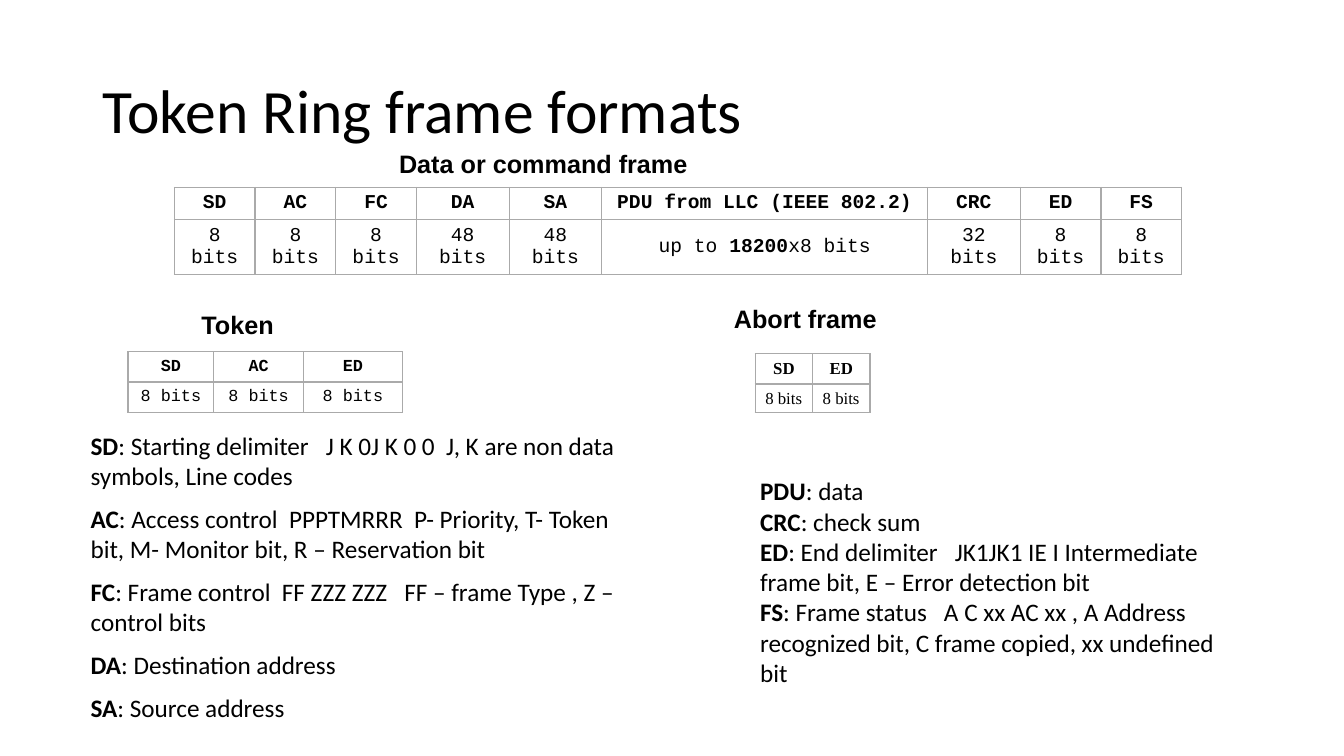
from dataclasses import dataclass

import lxml.etree
import pptx
import pptx.dml.color
import pptx.enum.text
import pptx.oxml.ns
import pptx.util

Inches = pptx.util.Inches
Pt = pptx.util.Pt
Align = pptx.enum.text.PP_ALIGN
Anchor = pptx.enum.text.MSO_ANCHOR
AutoSize = pptx.enum.text.MSO_AUTO_SIZE


@dataclass(frozen=True)
class Theme:
    """Colours, fonts and type sizes of the slide."""
    ink: str = "000000"
    paper: str = "FFFFFF"
    border: str = "AAAAAA"
    body_font: str = "Calibri"
    caption_font: str = "Arial"
    code_font: str = "Courier New"
    serif_font: str = "Times New Roman"
    title_size: int = 44
    body_size: int = 18
    wide_table_size: int = 14
    small_table_size: int = 12


THEME = Theme()

FIELD_NOTES = [
    "**SD**: Starting delimiter   J K 0J K 0 0  J, K are non data symbols, Line codes",
    "**AC**: Access control  PPPTMRRR  P- Priority, T- Token bit, M- Monitor bit, R – Reservation bit",
    "**FC**: Frame control  FF ZZZ ZZZ   FF – frame Type , Z – control bits",
    "**DA**: Destination address",
    "**SA**: Source address",
]
TRAILER_NOTES = [
    "**PDU**: data",
    "**CRC**: check sum",
    "**ED**: End delimiter   JK1JK1 IE I Intermediate frame bit, E – Error detection bit",
    "**FS**: Frame status   A C xx AC xx , A Address recognized bit, C frame copied, xx undefined bit",
]


def add_runs(paragraph, text, font_name, size):
    """Add text run by run, with the parts between double asterisks in bold."""
    for index, part in enumerate(text.split("**")):
        if part:
            run = paragraph.add_run()
            run.text = part
            run.font.name = font_name
            run.font.size = Pt(size)
            run.font.bold = index % 2 == 1
            run.font.color.rgb = pptx.dml.color.RGBColor.from_string(THEME.ink)


def add_text(slide, box, lines, font_name=THEME.body_font, size=THEME.body_size, gap=0):
    """Add a wrapping text box with one paragraph per line and return its frame."""
    frame = slide.shapes.add_textbox(*map(Inches, box)).text_frame
    frame.word_wrap = True
    frame.auto_size = AutoSize.SHAPE_TO_FIT_TEXT
    for index, line in enumerate(lines):
        paragraph = frame.add_paragraph() if index else frame.paragraphs[0]
        paragraph.space_before = Pt(gap if index else 0)
        add_runs(paragraph, line, font_name, size)
    return frame


def add_title(slide, text):
    """Add the slide title, centred vertically in its band."""
    frame = add_text(slide, (0.92, 0.4, 11.5, 1.45), [text], size=THEME.title_size)
    frame.auto_size = AutoSize.NONE
    frame.vertical_anchor = Anchor.MIDDLE
    frame.paragraphs[0].line_spacing = 0.9


def add_caption(slide, box, text):
    """Add the bold caption of a frame table."""
    add_text(slide, box, [f"**{text}**"], THEME.caption_font)


def add_borders(cell):
    """Draw a thin line on all four sides of a cell."""
    properties = cell._tc.get_or_add_tcPr()
    qualified = pptx.oxml.ns.qn
    for index, side in enumerate(("a:lnL", "a:lnR", "a:lnT", "a:lnB")):
        line = lxml.etree.Element(qualified(side), w=str(Pt(1)))
        fill = lxml.etree.SubElement(line, qualified("a:solidFill"))
        lxml.etree.SubElement(fill, qualified("a:srgbClr"), val=THEME.border)
        properties.insert(index, line)


def add_frame_table(slide, left, top, widths, heights, fields, font_name, size,
                    length_align=Align.CENTER):
    """Add a table of frame fields: names above, lengths below."""
    rows = [[f"**{name}**" for name, _ in fields], [length for _, length in fields]]
    box = map(Inches, (left, top, sum(widths), sum(heights)))
    table = slide.shapes.add_table(len(rows), len(fields), *box).table
    table.first_row = table.horz_banding = False
    for column, width in zip(table.columns, widths):
        column.width = Inches(width)
    for row, height, texts, align in zip(table.rows, heights, rows, (Align.CENTER, length_align)):
        row.height = Inches(height)
        for cell, text in zip(row.cells, texts):
            cell.vertical_anchor = Anchor.MIDDLE
            cell.fill.solid()
            cell.fill.fore_color.rgb = pptx.dml.color.RGBColor.from_string(THEME.paper)
            add_borders(cell)
            paragraph = cell.text_frame.paragraphs[0]
            paragraph.alignment = align
            add_runs(paragraph, text, font_name, size)


def main():
    """Build the slide and save it."""
    presentation = pptx.Presentation()
    presentation.slide_width = Inches(13.33)
    presentation.slide_height = Inches(7.5)
    slide = presentation.slides.add_slide(presentation.slide_layouts[6])

    add_title(slide, "Token Ring frame formats")

    byte, address = "8 bits", "48 bits"
    data_fields = [
        ("SD", byte), ("AC", byte), ("FC", byte), ("DA", address), ("SA", address),
        ("PDU from LLC (IEEE 802.2)", "up to **18200**x8 bits"),
        ("CRC", "32 bits"), ("ED", byte), ("FS", byte),
    ]
    data_widths = [0.8] * 3 + [0.92] * 2 + [3.23, 0.92] + [0.8] * 2
    add_frame_table(slide, 1.73, 1.86, data_widths, (0.3, 0.3), data_fields,
                    THEME.code_font, THEME.wide_table_size)
    add_frame_table(slide, 1.27, 3.49, (0.85, 0.89, 0.98), (0.3, 0.3),
                    [(name, byte) for name in ("SD", "AC", "ED")],
                    THEME.code_font, THEME.small_table_size)
    add_frame_table(slide, 7.49, 3.51, (0.57, 0.57), (0.3, 0.25),
                    [(name, byte) for name in ("SD", "ED")],
                    THEME.serif_font, THEME.small_table_size, Align.LEFT)

    add_caption(slide, (3.86, 1.42, 5.73, 0.4), "Data or command frame")
    add_caption(slide, (1.9, 3.02, 1.46, 0.4), "Token")
    add_caption(slide, (7.18, 2.96, 2.68, 0.4), "Abort frame")

    add_text(slide, (0.8, 4.22, 5.59, 3.59), FIELD_NOTES, gap=9)
    add_text(slide, (7.44, 4.67, 4.82, 2.68), TRAILER_NOTES)

    presentation.save("out.pptx")


if __name__ == "__main__":
    main()
